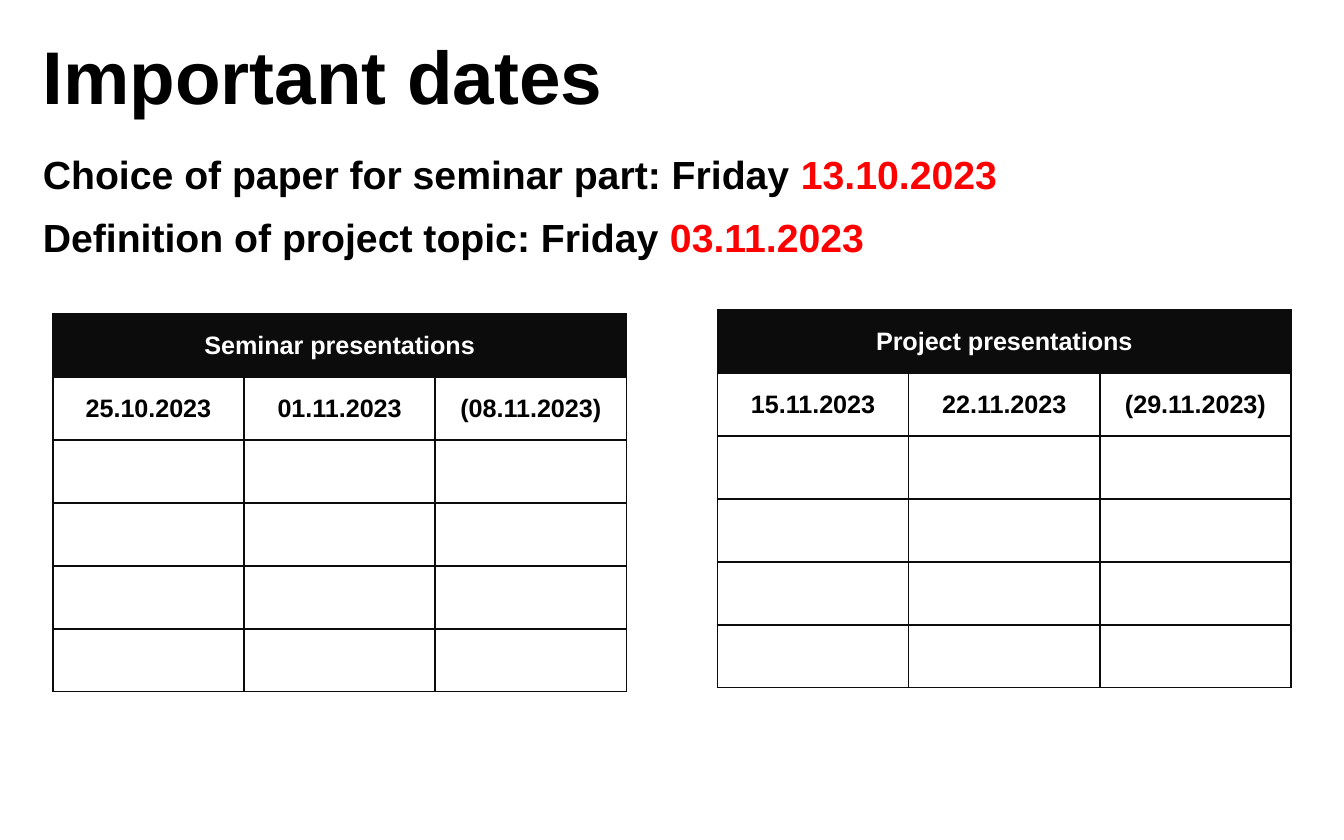
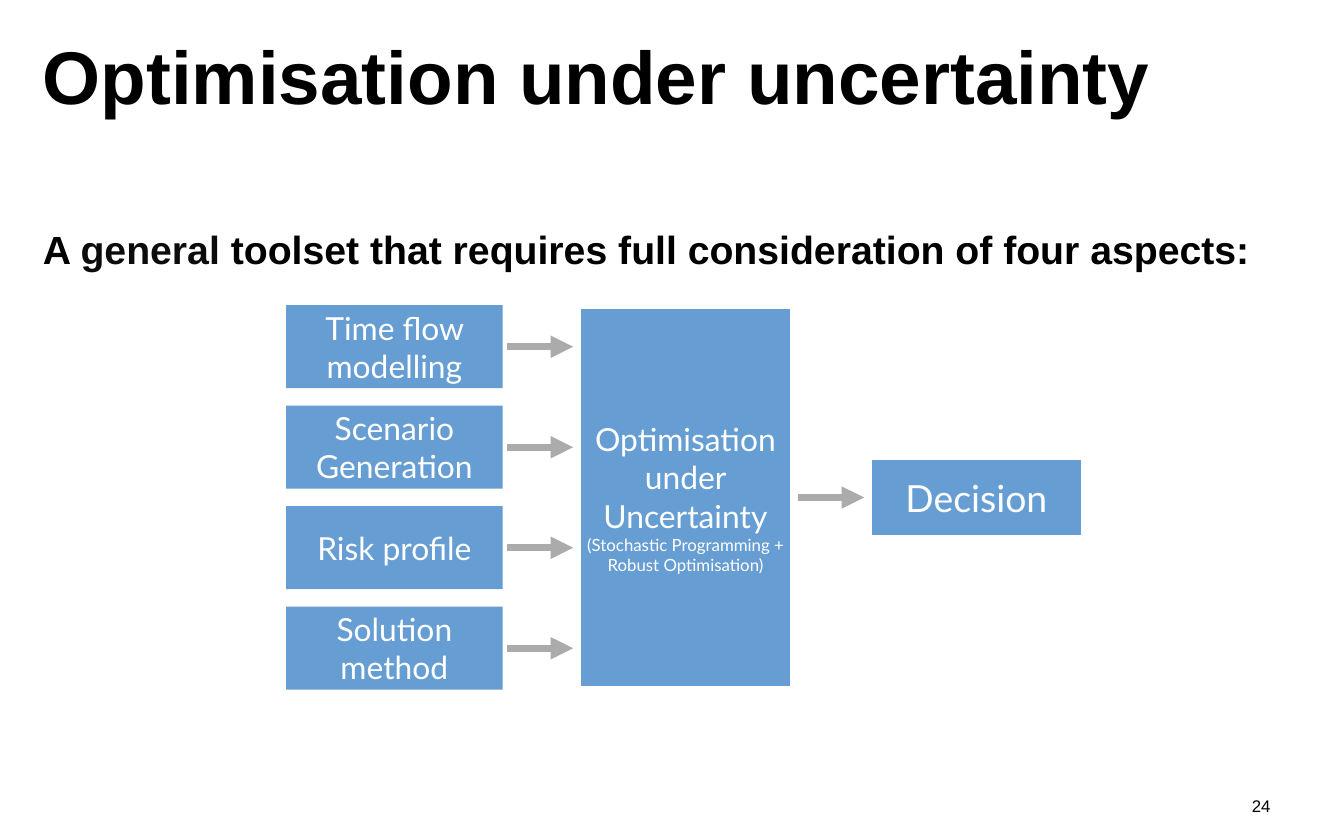
from lxml.etree import SubElement
from pptx import Presentation
from pptx.dml.color import RGBColor
from pptx.enum.shapes import MSO_CONNECTOR, MSO_SHAPE
from pptx.enum.text import MSO_ANCHOR, PP_ALIGN
from pptx.oxml.ns import qn
from pptx.util import Cm, Pt

BLACK = "000000"
WHITE = "FFFFFF"
RED = "FF0000"
NEAR_BLACK = "0C0C0C"
BLUE = "669ED4"
GREY = "ABABAB"
MARGIN_LEFT = 0.81
CONTENT_WIDTH = 23.6


def color(hex_string):
    return RGBColor.from_string(hex_string)


def write(paragraph, text, size, fill=BLACK, font="Arial", bold=False, align=None, before=0):
    if align is not None:
        paragraph.alignment = align
    if before:
        paragraph.space_before = Pt(before)
    for index, line in enumerate(text.split("\n")):
        if index:
            paragraph.add_line_break()
        run = paragraph.add_run()
        run.text = line
        run.font.size = Pt(size)
        run.font.name = font
        run.font.bold = bold
        run.font.color.rgb = color(fill)


def set_insets(frame, inset):
    frame.margin_left = frame.margin_right = Cm(inset)
    frame.margin_top = frame.margin_bottom = Cm(inset)


def add_text_frame(slide, left, top, width, height):
    shape = slide.shapes.add_textbox(Cm(left), Cm(top), Cm(width), Cm(height))
    frame = shape.text_frame
    frame.word_wrap = True
    return frame


def add_title(slide, text):
    frame = add_text_frame(slide, MARGIN_LEFT, 0.43, CONTENT_WIDTH, 3.07)
    set_insets(frame, 0)
    frame.margin_top = Cm(0.14)
    write(frame.paragraphs[0], text, 40, bold=True)


def add_body(slide, top, height, lines):
    frame = add_text_frame(slide, MARGIN_LEFT, top, CONTENT_WIDTH, height)
    set_insets(frame, 0)
    frame.margin_top = Cm(0.07)
    for index, parts in enumerate(lines):
        paragraph = frame.add_paragraph() if index else frame.paragraphs[0]
        for text, fill in parts:
            write(paragraph, text, 21, fill=fill, bold=True, before=8.5 if index else 0)


def add_page_number(slide, number):
    frame = add_text_frame(slide, 18.54, 14.96, 5.72, 0.53)
    frame.vertical_anchor = MSO_ANCHOR.MIDDLE
    write(frame.paragraphs[0], number, 9, align=PP_ALIGN.RIGHT)


def set_cell_borders(cell, side_width, level_width):
    properties = cell._tc.get_or_add_tcPr()
    widths = {"a:lnL": side_width, "a:lnR": side_width, "a:lnT": level_width, "a:lnB": level_width}
    for tag, width in widths.items():
        line = SubElement(properties, qn(tag), w=str(Pt(width)))
        fill = SubElement(line, qn("a:solidFill"))
        SubElement(fill, qn("a:srgbClr"), val=NEAR_BLACK)


def add_schedule(slide, left, top, heading, dates, row_count=6):
    width, row_height = 10.84, 1.19
    table = slide.shapes.add_table(
        row_count, len(dates), Cm(left), Cm(top), Cm(width), Cm(row_height * row_count)
    ).table
    for column in table.columns:
        column.width = Cm(width / len(dates))
    for row_index, row in enumerate(table.rows):
        row.height = Cm(row_height)
        for cell in row.cells:
            set_cell_borders(cell, 1, 0.5 if row_index % 2 else 1)
            cell.fill.solid()
            cell.fill.fore_color.rgb = color(WHITE if row_index else NEAR_BLACK)
            cell.vertical_anchor = MSO_ANCHOR.MIDDLE
    table.cell(0, 0).merge(table.cell(0, len(dates) - 1))
    entries = [(table.cell(0, 0), heading, WHITE)]
    entries += [(table.cell(1, index), date, BLACK) for index, date in enumerate(dates)]
    for cell, text, fill in entries:
        write(cell.text_frame.paragraphs[0], text, 13.5, fill=fill, bold=True, align=PP_ALIGN.CENTER)


def add_block(slide, left, top, width, height, lines, outlined=False):
    shape = slide.shapes.add_shape(MSO_SHAPE.RECTANGLE, Cm(left), Cm(top), Cm(width), Cm(height))
    shape.shadow.inherit = False
    shape.fill.solid()
    shape.fill.fore_color.rgb = color(BLUE)
    if outlined:
        shape.line.color.rgb = color(WHITE)
        shape.line.width = Pt(4)
    else:
        shape.line.fill.background()
    frame = shape.text_frame
    frame.word_wrap = True
    frame.vertical_anchor = MSO_ANCHOR.MIDDLE
    set_insets(frame, 0.08)
    for index, (text, size) in enumerate(lines):
        paragraph = frame.add_paragraph() if index else frame.paragraphs[0]
        write(paragraph, text, size, fill=WHITE, font="Lato", align=PP_ALIGN.CENTER)


def add_arrow(slide, left, middle, length):
    connector = slide.shapes.add_connector(
        MSO_CONNECTOR.STRAIGHT, Cm(left), Cm(middle), Cm(left + length), Cm(middle)
    )
    connector.line.color.rgb = color(GREY)
    connector.line.width = Pt(4)
    SubElement(connector.line._get_or_add_ln(), qn("a:tailEnd"), type="triangle")
    SubElement(connector._element.spPr, qn("a:effectLst"))


def add_decision_flow(slide, left, top, aspects):
    width, height = 4.09, 1.57
    row_pitch, column_pitch = 1.9, 5.5
    arrow_gap, arrow_length = 0.09, 1.24
    total_height = row_pitch * (len(aspects) - 1) + height
    center = top + total_height / 2
    method_left = left + column_pitch
    decision_left = method_left + column_pitch

    for index, aspect in enumerate(aspects):
        aspect_top = top + index * row_pitch
        add_block(slide, left, aspect_top, width, height, [(aspect, 17)])
        add_arrow(slide, left + width + arrow_gap, aspect_top + height / 2, arrow_length)

    method_lines = [
        ("Optimisation under Uncertainty", 17),
        ("(Stochastic Programming + Robust Optimisation)", 9),
    ]
    add_block(slide, method_left, top, width, total_height, method_lines, outlined=True)
    add_arrow(slide, method_left + width + arrow_gap, center, arrow_length)
    add_block(slide, decision_left, center - height / 2, width, height, [("Decision", 20)], outlined=True)


def build_dates_slide(slide):
    add_title(slide, "Important dates")
    deadlines = [
        [("Choice of paper for seminar part: Friday ", BLACK), ("13.10.2023", RED)],
        [("Definition of project topic: Friday ", BLACK), ("03.11.2023", RED)],
    ]
    add_body(slide, 2.77, 10.82, deadlines)
    add_schedule(slide, 1, 5.94, "Seminar presentations", ["25.10.2023", "01.11.2023", "(08.11.2023)"])
    add_schedule(slide, 13.56, 5.86, "Project presentations", ["15.11.2023", "22.11.2023", "(29.11.2023)"])


def build_uncertainty_slide(slide):
    add_title(slide, "Optimisation under uncertainty")
    statement = [
        ("A ", BLACK),
        ("general ", NEAR_BLACK),
        ("toolset that requires full consideration of four aspects:", BLACK),
    ]
    add_body(slide, 4.19, 9.42, [statement])
    add_page_number(slide, "24")
    aspects = ["Time flow modelling", "Scenario\nGeneration", "Risk profile", "Solution method"]
    add_decision_flow(slide, 5.41, 5.77, aspects)


def main():
    presentation = Presentation()
    presentation.slide_width = Cm(25.4)
    presentation.slide_height = Cm(15.88)
    for build_slide in (build_dates_slide, build_uncertainty_slide):
        build_slide(presentation.slides.add_slide(presentation.slide_layouts[6]))
    presentation.save("out.pptx")


if __name__ == "__main__":
    main()
